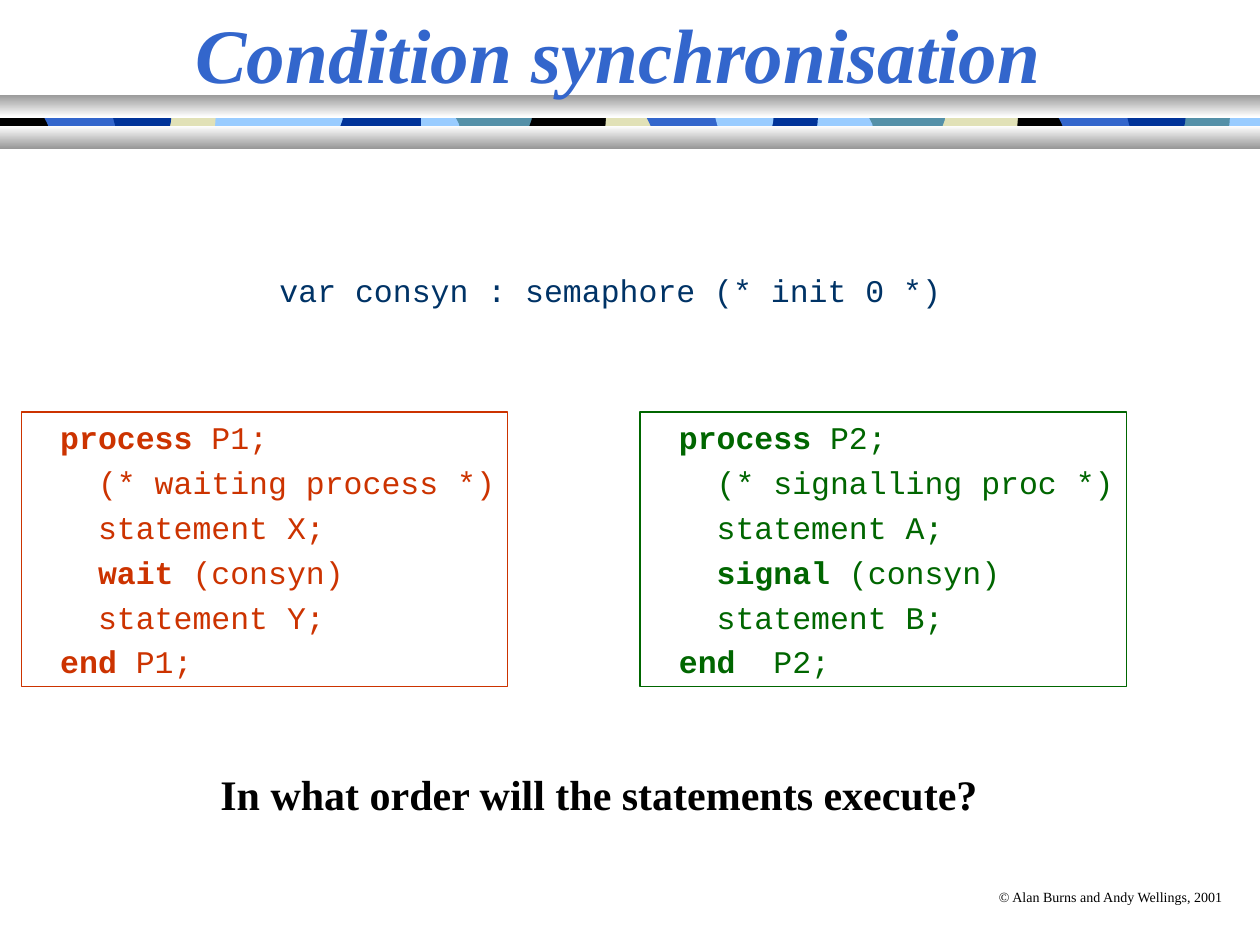
from pptx import Presentation
from pptx.dml.color import RGBColor
from pptx.enum.shapes import MSO_SHAPE
from pptx.enum.text import MSO_ANCHOR, PP_ALIGN
from pptx.util import Inches, Pt

SERIF, MONO = "Times New Roman", "Courier New"
BLACK, BLUE, NAVY = "000000", "3366CC", "003399"
SKY, TEAL, SAND = "99CCFF", "5490A8", "E1E1B7"

TITLE = "Condition synchronisation "
DECLARATION = "var consyn : semaphore (* init 0 *)"
QUESTION = "In what order will the statements execute?"
COPYRIGHT = "© Alan Burns and Andy Wellings, 2001"
PROCESSES = [
    (0.17, "CC3300", ["|process| P1;", "  (* waiting process *)", "  statement X;",
                      "  |wait| (consyn)", "  statement Y;", "|end| P1;"]),
    (5.08, "006600", ["|process| P2;", "  (* signalling proc *)", "  statement A;",
                      "  |signal| (consyn)", "  statement B;", "|end|  P2;"]),
]

STRIPE_TOP, STRIPE_BOTTOM = 0.85, 1.13
EDGES = {
    "straight": [],
    "wave": [[(0, 1.13), (0.11, 0.94), (-0.11, 0.9), (0, 0.85)]],
    "hook": [[(0, 1.13), (-0.1, 1.09), (0.07, 0.94), (0, 0.85)]],
    "bulge": [[(0, 1.13), (-0.06, 1.09), (-0.06, 0.9), (0, 0.85)]],
    "notch": [[(0, 1.13), (0.07, 1.09), (0.07, 1.07), (0.07, 1.03)],
              [(0.07, 1.03), (0.07, 0.98), (0, 0.9), (0, 0.85)]],
    "bend": [[(0, 1.13), (-0.06, 1.12), (0, 1.07), (0, 1.03)],
             [(0, 1.03), (0, 0.98), (-0.06, 0.88), (0, 0.85)]],
    "round": [[(0, 1.13), (0.01, 1.1), (0.05, 1.01), (0.05, 0.96)],
              [(0.05, 0.96), (0.05, 0.92), (0.06, 0.87), (0, 0.85)]],
    "dent": [[(0, 1.13), (0, 1.08), (-0.07, 1.03), (0, 0.85)]],
    "swell": [[(0, 1.13), (0, 1.13), (0, 1.13), (0, 1.09)],
              [(0, 1.09), (0, 1.05), (0.07, 0.89), (0, 0.85)]],
}
TILES = [
    (0, 10, "straight", "straight", SKY),
    (6.9, 7.53, "wave", "straight", TEAL),
    (7.49, 8.12, "hook", "straight", SAND),
    (9.39, 9.71, "bulge", "round", TEAL),
    (8.12, 8.56, "bulge", "dent", BLACK),
    (8.37, 9, "notch", "straight", BLUE),
    (8.97, 9.38, "bend", "swell", NAVY),
    (3.62, 4.25, "wave", "straight", TEAL),
    (4.21, 4.84, "hook", "straight", BLACK),
    (6.11, 6.44, "bulge", "round", NAVY),
    (4.85, 5.28, "bulge", "dent", SAND),
    (5.1, 5.72, "notch", "straight", BLUE),
    (5.7, 6.11, "bend", "swell", SKY),
    (2.12, 2.75, "wave", "straight", SKY),
    (2.71, 3.34, "hook", "straight", NAVY),
    (1.33, 1.66, "bulge", "round", SAND),
    (0, 0.51, "straight", "dent", BLACK),
    (0.32, 0.95, "notch", "straight", BLUE),
    (0.92, 1.33, "bend", "swell", NAVY),
]
BARS = [(0.75, "989898", "FFFFFF"), (1, "FFFFFF", "989898")]


def color(value):
    return RGBColor.from_string(value)


def edge_points(x, name, steps=6):
    points = [(x, STRIPE_BOTTOM)]
    for curve in EDGES[name]:
        for step in range(1, steps + 1):
            t = step / steps
            weights = ((1 - t) ** 3, 3 * t * (1 - t) ** 2, 3 * t * t * (1 - t), t ** 3)
            points.append((x + sum(w * p[0] for w, p in zip(weights, curve)),
                           sum(w * p[1] for w, p in zip(weights, curve))))
    return points + [(x, STRIPE_TOP)]


def add_tile(slide, left, right, left_edge, right_edge, fill):
    outline = edge_points(left, left_edge) + edge_points(right, right_edge)[::-1]
    points = [(Inches(x), Inches(y)) for x, y in outline]
    builder = slide.shapes.build_freeform(*points[0])
    builder.add_line_segments(points[1:])
    shape = builder.convert_to_shape()
    shape.shadow.inherit = False
    shape.fill.solid()
    shape.fill.fore_color.rgb = color(fill)
    shape.line.fill.background()


def add_bar(slide, top, start, end):
    shape = slide.shapes.add_shape(MSO_SHAPE.RECTANGLE, 0, Inches(top), Inches(10), Inches(0.18))
    shape.shadow.inherit = False
    shape.line.fill.background()
    shape.fill.gradient()
    shape.fill.gradient_angle = 270
    for stop, value, position in zip(shape.fill.gradient_stops, (start, end), (0, 1)):
        stop.color.rgb = color(value)
        stop.position = position


def style(font, name, size, value, bold=False, italic=False):
    font.name, font.size, font.bold, font.italic = name, Pt(size), bold, italic
    font.color.rgb = color(value)


def write_lines(shape, lines, name, size, value, bold=False, indent=0, gap=0):
    frame = shape.text_frame
    frame.word_wrap = True
    frame.margin_right = 0
    frame.vertical_anchor = MSO_ANCHOR.TOP
    for index, line in enumerate(lines):
        paragraph = frame.paragraphs[0] if index == 0 else frame.add_paragraph()
        paragraph.alignment = PP_ALIGN.LEFT
        paragraph.space_before = Pt(gap if index else 0)
        paragraph.space_after = Pt(gap)
        if indent:
            paragraph.level = 1
            paragraph._p.get_or_add_pPr().set("marL", str(Inches(indent)))
        for position, part in enumerate(line.split("|")):
            if part:
                run = paragraph.add_run()
                run.text = part
                style(run.font, name, size, value, bold or position % 2 == 1)


def add_text(slide, box, text, *look, **options):
    shape = slide.shapes.add_textbox(*map(Inches, box))
    write_lines(shape, [text], *look, **options)


def add_process(slide, left, value, lines):
    box = map(Inches, (left, 3.27, 3.86, 2.18))
    shape = slide.shapes.add_shape(MSO_SHAPE.RECTANGLE, *box)
    shape.shadow.inherit = False
    shape.fill.background()
    shape.line.color.rgb = color(value)
    shape.line.width = Pt(0.75)
    write_lines(shape, lines, MONO, 18, value, indent=0.21, gap=2)


def add_title(slide):
    title = slide.shapes.title
    title.left, title.top, title.width, title.height = map(Inches, (0, 0, 9.97, 0.83))
    frame = title.text_frame
    frame.text = TITLE
    frame.vertical_anchor = MSO_ANCHOR.MIDDLE
    frame.paragraphs[0].alignment = PP_ALIGN.CENTER
    style(frame.paragraphs[0].runs[0].font, SERIF, 44, BLUE, True, True)
    slide.shapes._spTree.append(title._element)


def main():
    presentation = Presentation()
    presentation.slide_width, presentation.slide_height = Inches(10), Inches(7.5)
    slide = presentation.slides.add_slide(presentation.slide_layouts[5])
    for tile in TILES:
        add_tile(slide, *tile)
    for bar in BARS:
        add_bar(slide, *bar)
    add_text(slide, (7.83, 7, 2, 0.24), COPYRIGHT, SERIF, 8, BLACK)
    for process in PROCESSES:
        add_process(slide, *process)
    add_text(slide, (1.91, 2.1, 5.81, 0.4), DECLARATION, MONO, 18, "003366", indent=0.21, gap=2)
    add_text(slide, (1.65, 6.05, 6.21, 0.5), QUESTION, SERIF, 24, BLACK, bold=True, gap=6)
    add_title(slide)
    presentation.save("out.pptx")


if __name__ == "__main__":
    main()
